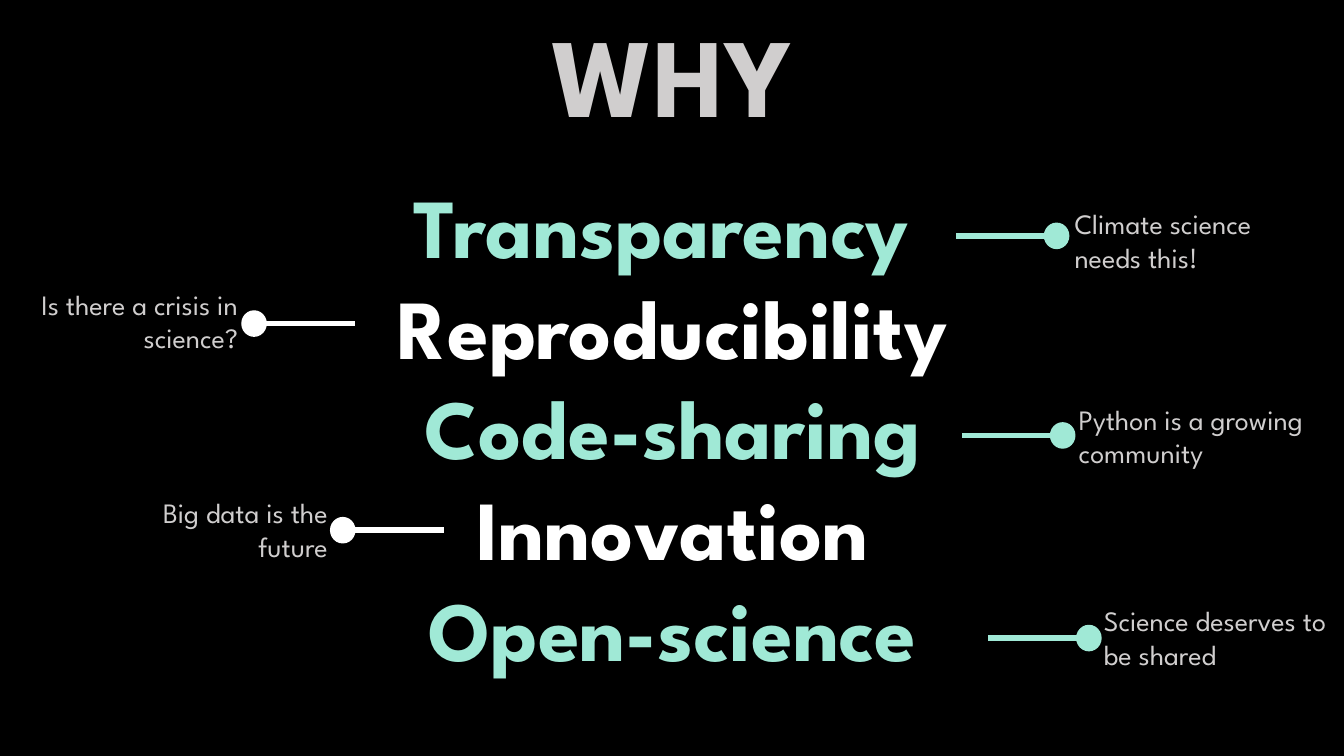
"""Build the WHY slide: five themes with short callouts on either side."""
from dataclasses import dataclass

from lxml import etree
from pptx import Presentation
from pptx.dml.color import RGBColor
from pptx.enum import shapes, text
from pptx.oxml import ns
from pptx.util import Inches, Pt

TITLE = "WHY"
THEMES = ["Transparency ", "Reproducibility", "Code-sharing", "Innovation", "Open-science"]
CALLOUTS = [
    {"note": "Climate science needs this!", "side": "right", "dot": (10.48, 2.34), "box": (10.56, 2, 2.56)},
    {"note": "Is there a crisis in science?", "side": "left", "dot": (2.52, 3.21), "box": (-0.1, 2.8, 2.56)},
    {"note": "Python is a growing community", "side": "right", "dot": (10.54, 4.32), "box": (10.6, 3.94, 2.85)},
    {"note": "Big data is the future", "side": "left", "dot": (3.4, 5.26), "box": (0.79, 4.87, 2.56)},
    {"note": "Science deserves to be shared", "side": "right", "dot": (10.8, 6.33), "box": (10.85, 5.94, 2.56)},
]
NOTE_HEIGHT = 0.77
DOT_WIDTH, DOT_HEIGHT = 0.24, 0.25
LINE_START, LINE_END = 0.04, 1


@dataclass(frozen=True)
class Theme:
    """Colours, font and type sizes."""

    background: RGBColor = RGBColor(0, 0, 0)
    grey: RGBColor = RGBColor(0xD0, 0xCE, 0xCE)
    mint: RGBColor = RGBColor(0xA0, 0xE9, 0xD6)
    white: RGBColor = RGBColor(0xFF, 0xFF, 0xFF)
    font: str = "League Spartan"
    title_size: int = 80
    theme_size: int = 60
    note_size: int = 20


THEME = Theme()
SIDE_COLOURS = {"right": THEME.mint, "left": THEME.white}


def place(shape, left, top, width, height):
    """Move and size a shape, in inches."""
    shape.left, shape.top = Inches(left), Inches(top)
    shape.width, shape.height = Inches(width), Inches(height)


def prepare_frame(shape):
    """Return the text frame of a shape, wrapped and anchored at the top."""
    frame = shape.text_frame
    frame.word_wrap = True
    frame.auto_size = text.MSO_AUTO_SIZE.NONE
    frame.vertical_anchor = text.MSO_ANCHOR.TOP
    return frame


def write(paragraph, words, size, colour, alignment, bold=False):
    """Write one run into an unbulleted paragraph."""
    properties = paragraph._p.get_or_add_pPr()
    properties.set("marL", "0")
    properties.set("indent", "0")
    etree.SubElement(properties, ns.qn("a:buNone"))
    paragraph.alignment = alignment
    paragraph.space_before = Pt(0)
    run = paragraph.add_run()
    run.text = words
    run.font.name = THEME.font
    run.font.size = Pt(size)
    run.font.bold = bold
    run.font.color.rgb = colour


def add_pointer(slide, dot, side):
    """Draw a dot with a line running towards the theme list."""
    x, y = dot
    colour = SIDE_COLOURS[side]
    direction = -1 if side == "right" else 1
    group = slide.shapes.add_group_shape()
    circle = group.shapes.add_shape(
        shapes.MSO_SHAPE.OVAL, Inches(x - DOT_WIDTH / 2), Inches(y - DOT_HEIGHT / 2),
        Inches(DOT_WIDTH), Inches(DOT_HEIGHT))
    circle.shadow.inherit = False
    circle.fill.solid()
    circle.fill.fore_color.rgb = colour
    circle.line.color.rgb = colour
    circle.line.width = Pt(1)
    line = group.shapes.add_connector(
        shapes.MSO_CONNECTOR.STRAIGHT, Inches(x + direction * LINE_START), Inches(y),
        Inches(x + direction * LINE_END), Inches(y))
    line.line.color.rgb = colour
    line.line.width = Pt(4)
    etree.SubElement(line._element.spPr, ns.qn("a:effectLst"))


def add_callout(slide, note, side, dot, box):
    """Add a note and its pointer."""
    add_pointer(slide, dot, side)
    left, top, width = box
    note_box = slide.shapes.add_textbox(Inches(left), Inches(top), Inches(width), Inches(NOTE_HEIGHT))
    alignment = text.PP_ALIGN.LEFT if side == "right" else text.PP_ALIGN.RIGHT
    write(prepare_frame(note_box).paragraphs[0], note, THEME.note_size, THEME.grey, alignment)


def main():
    """Build and save the presentation."""
    presentation = Presentation()
    presentation.slide_width, presentation.slide_height = Inches(13.33), Inches(7.5)
    slide = presentation.slides.add_slide(presentation.slide_layouts[1])
    slide.background.fill.solid()
    slide.background.fill.fore_color.rgb = THEME.background

    title, body = slide.placeholders
    place(title, 0, 0, 13.33, 1.45)
    write(prepare_frame(title).paragraphs[0], TITLE, THEME.title_size, THEME.grey,
          text.PP_ALIGN.CENTER, bold=True)

    place(body, 1.42, 1.68, 10.5, 5.15)
    frame = prepare_frame(body)
    for index, words in enumerate(THEMES):
        paragraph = frame.add_paragraph() if index else frame.paragraphs[0]
        colour = THEME.white if index % 2 else THEME.mint
        write(paragraph, words, THEME.theme_size, colour, text.PP_ALIGN.CENTER, bold=True)

    for callout in CALLOUTS:
        add_callout(slide, **callout)
    presentation.save("out.pptx")


if __name__ == "__main__":
    main()
